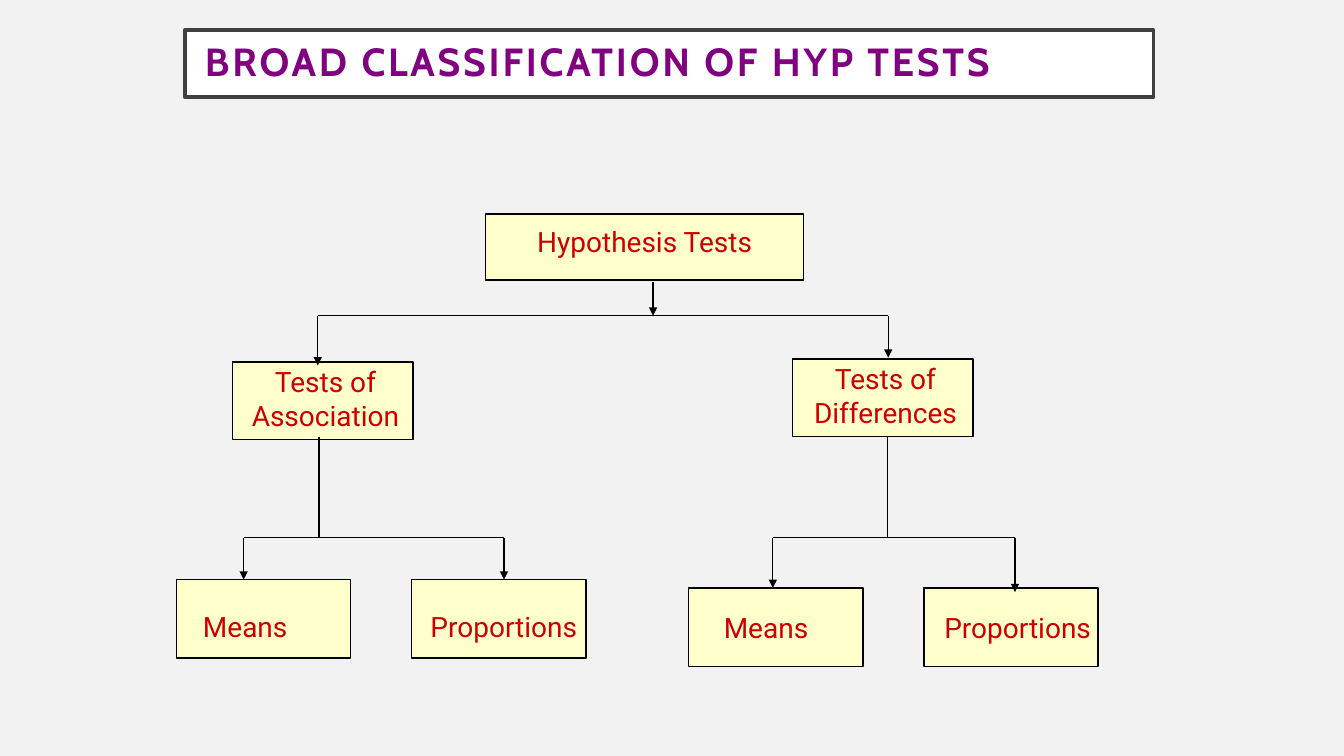
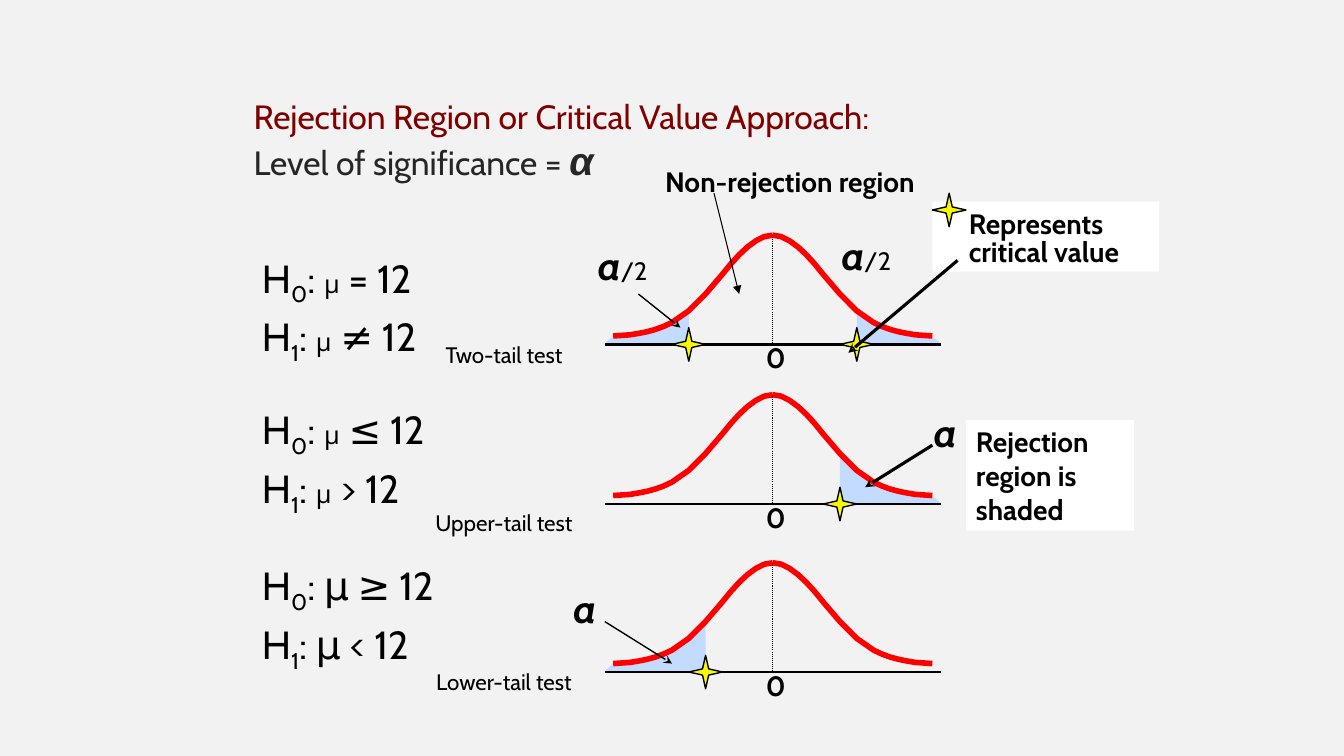
from lxml.etree import SubElement
from pptx import Presentation
from pptx.dml.color import RGBColor
from pptx.enum.dml import MSO_LINE
from pptx.enum.shapes import MSO_CONNECTOR, MSO_SHAPE
from pptx.enum.text import MSO_ANCHOR, MSO_AUTO_SIZE, PP_ALIGN
from pptx.oxml.ns import qn
from pptx.util import Pt

BACKDROP = RGBColor(0xF2, 0xF2, 0xF2)
WHITE = RGBColor(0xFF, 0xFF, 0xFF)
BLACK = RGBColor(0, 0, 0)
FRAME = RGBColor(0x40, 0x40, 0x40)
PURPLE = RGBColor(0x80, 0, 0x80)
MAROON = RGBColor(0x80, 0, 0)
CHARCOAL = RGBColor(0x26, 0x26, 0x26)
CREAM = RGBColor(0xFF, 0xFF, 0xCC)
CRIMSON = RGBColor(0xCC, 0, 0)
RED = RGBColor(0xFF, 0, 0)
SHADE = RGBColor(0xC3, 0xDB, 0xFF)
YELLOW = RGBColor(0xF8, 0xF8, 0)
MAIN_FONT = "Cabin"
TREE_FONT = "Roboto"

HALF_CURVE = [
    (114, 6), (102, 6.8), (96, 7.8), (90, 9), (84, 10.6), (78, 12.8),
    (72, 15.6), (60, 24), (48, 36), (36, 50), (30, 57.4), (24, 64),
    (18, 69.6), (12, 74), (6, 77), (0, 78),
]
TAIL_EDGE = [(120, 0.6), (114, 6), (89, 10), (77, 14.4), (63, 23)]


def add_span(para, text, size, color=BLACK, font=MAIN_FONT, bold=False, italic=False, baseline=0):
    span = para.add_run()
    span.text = text
    span.font.size = Pt(size)
    span.font.name = font
    span.font.bold = bold
    span.font.italic = italic
    span.font.color.rgb = color
    if baseline:
        span._r.get_or_add_rPr().set("baseline", str(baseline * 1000))
    return span


def set_frame(shape, left=7.2, top=3.6, right=7.2, bottom=3.6, anchor=MSO_ANCHOR.TOP):
    frame = shape.text_frame
    frame.word_wrap = True
    frame.auto_size = MSO_AUTO_SIZE.NONE
    frame.vertical_anchor = anchor
    frame.margin_left, frame.margin_top = Pt(left), Pt(top)
    frame.margin_right, frame.margin_bottom = Pt(right), Pt(bottom)
    return frame


def place(shape, left, top, width, height):
    shape.left, shape.top, shape.width, shape.height = map(Pt, (left, top, width, height))


def paint(shape, fill=None, line=None, weight=1):
    shape.shadow.inherit = False
    if fill is None:
        shape.fill.background()
    else:
        shape.fill.solid()
        shape.fill.fore_color.rgb = fill
    if line is None:
        shape.line.fill.background()
    else:
        shape.line.color.rgb = line
        shape.line.width = Pt(weight)


def add_preset(slide, kind, box, fill, line=None):
    shape = slide.shapes.add_shape(kind, *map(Pt, box))
    paint(shape, fill, line)
    return shape


def add_text(slide, box, text, size, align=PP_ALIGN.LEFT, **style):
    frame = set_frame(slide.shapes.add_textbox(*map(Pt, box)))
    para = frame.paragraphs[0]
    para.alignment = align
    add_span(para, text, size, **style)
    return para


def add_line(slide, start, end, weight=1, tip=None, dash=None):
    line = slide.shapes.add_connector(MSO_CONNECTOR.STRAIGHT, *map(Pt, (*start, *end)))
    line.line.color.rgb = BLACK
    line.line.width = Pt(weight)
    if dash:
        line.line.dash_style = dash
    properties = line.element.spPr
    if tip:
        SubElement(properties.find(qn("a:ln")), qn("a:tailEnd"), type=tip)
    SubElement(properties, qn("a:effectLst"))


def add_outline(slide, points, close, **look):
    corners = [(Pt(x), Pt(y)) for x, y in points]
    builder = slide.shapes.build_freeform(*corners[0], scale=1.0)
    builder.add_line_segments(corners[1:], close=close)
    paint(builder.convert_to_shape(), **look)


def add_star(slide, x, y):
    star = add_preset(slide, MSO_SHAPE.STAR_4_POINT, (x - 12, y - 12, 24, 24), YELLOW, BLACK)
    star.adjustments[0] = 0.13


def add_title(slide, box, text):
    title = slide.shapes.title
    place(title, *box)
    title.fill.solid()
    title.fill.fore_color.rgb = WHITE
    title.line.color.rgb = FRAME
    title.line.width = Pt(2.5)
    para = set_frame(title, 14.4, 14.4, 14.4, 14.4, MSO_ANCHOR.MIDDLE).paragraphs[0]
    para.alignment = PP_ALIGN.LEFT
    para.line_spacing = 0.9
    span = add_span(para, text, 28, PURPLE, bold=True)
    span._r.get_or_add_rPr().set("spc", "200")


def add_node(slide, box, text, inset, align=PP_ALIGN.CENTER):
    node = add_preset(slide, MSO_SHAPE.RECTANGLE, box, CREAM, BLACK)
    left, top, right = inset
    para = set_frame(node, left, top, right, 0).paragraphs[0]
    para.alignment = align
    add_span(para, text, 20, CRIMSON, TREE_FONT)


def add_fork(slide, stem, top, bar, drops, stem_tip=None):
    add_line(slide, (stem, top), (stem, bar), tip=stem_tip)
    add_line(slide, (drops[0][0], bar), (drops[1][0], bar))
    for x, tip_y in drops:
        add_line(slide, (x, bar), (x, tip_y), tip="triangle")


def add_tree(slide, left, top):
    add_node(slide, (left + 221, top, 227, 47), "Hypothesis Tests", (7.2, 7.2, 7.2))
    for x, y, text in ((40, 105.5, "Tests of Association"), (440, 103.5, "Tests of Differences")):
        add_node(slide, (left + x, top + y, 129, 55.5), text, (9, 2, 5))
    leaves = [
        (0, 261, "Means", 19, 21.6), (168, 261, "Proportions", 13.5, 21.6),
        (366, 267, "Means", 25, 16), (534, 267, "Proportions", 14.5, 16),
    ]
    for x, y, text, indent, drop in leaves:
        add_node(slide, (left + x, top + y, 124.5, 56), text, (indent, drop, 0), PP_ALIGN.LEFT)
    forks = [
        (340.5, 48.5, 72.5, ((101, 108), (508.5, 102.5)), "triangle"),
        (102, 159, 231, ((48, 261), (234, 261)), None),
        (508, 159, 231, ((426, 267), (599, 270)), None),
    ]
    for stem, start, bar, drops, tip in forks:
        ends = [(left + x, top + y) for x, y in drops]
        add_fork(slide, left + stem, top + start, top + bar, ends, tip)


def add_heading(slide, box):
    slide.shapes.title.element.getparent().remove(slide.shapes.title.element)
    body = slide.placeholders[1]
    place(body, *box)
    frame = set_frame(body, top=32.6)
    first, second = frame.paragraphs[0], frame.add_paragraph()
    for para in (first, second):
        para.line_spacing = 1.0
        para.space_before = Pt(0)
        properties = para._p.get_or_add_pPr()
        properties.set("marL", "0")
        properties.set("indent", "0")
        SubElement(properties, qn("a:buNone"))
    add_span(first, "Rejection Region or Critical Value Approach:", 24, MAROON)
    add_span(second, "Level of significance = ", 24, CHARCOAL)
    add_span(second, "α", 28, CHARCOAL, "Arial", bold=True, italic=True)


def add_bell(slide, left, axis, cut, sides):
    center = left + 120

    def locate(points, side):
        return [(center + side * x, axis - y) for x, y in points]

    tail = TAIL_EDGE + [(cut, dict(HALF_CURVE)[cut]), (cut, 0), (120, 0)]
    for side in sides:
        add_outline(slide, locate(tail, side), True, fill=SHADE)
    for side in (-1, 1):
        add_outline(slide, locate(HALF_CURVE, side), False, line=RED, weight=4)
    add_line(slide, (left, axis), (left + 240, axis), 2)
    add_text(slide, (center - 12, axis - 6, 24, 31), "0", 20, bold=True)
    add_line(slide, (center, axis - 78), (center, axis), 0.75, dash=MSO_LINE.ROUND_DOT)
    for side in sides:
        add_star(slide, center + side * cut, axis)


def add_hypotheses(slide, box, relations, mu_size):
    frame = set_frame(slide.shapes.add_textbox(*map(Pt, box)))
    for index, relation in enumerate(relations):
        para = frame.add_paragraph() if index else frame.paragraphs[0]
        para.line_spacing = 1.1
        add_span(para, "H", 28)
        add_span(para, str(index), 28, baseline=-25)
        add_span(para, ": ", 28)
        add_span(para, "μ", mu_size)
        add_span(para, f" {relation} 12", 28)


def add_test(slide, left, axis, name, name_shift, relations, mu_size, rise, cut, sides):
    add_hypotheses(slide, (left, axis - rise, 170, 81), relations, mu_size)
    add_text(slide, (left + 120, axis + name_shift, 120, 26), name, 16, PP_ALIGN.CENTER)
    add_bell(slide, left + 252, axis, cut, sides)


def add_alpha(slide, left, top, halved=False):
    para = add_text(slide, (left, top, 65 if halved else 34, 40), "a", 28, bold=True, italic=True)
    if halved:
        add_span(para, "/2", 18)


def add_note(slide, box, lines, indent=7.2):
    note = add_preset(slide, MSO_SHAPE.RECTANGLE, box, WHITE)
    frame = set_frame(note, left=indent)
    for index, text in enumerate(lines):
        para = frame.add_paragraph() if index else frame.paragraphs[0]
        para.alignment = PP_ALIGN.LEFT
        if index:
            para.line_spacing = Pt(20)
        add_span(para, text, 20, bold=True)


def add_annotations(slide, left, top):
    add_note(slide, (left + 264, top + 30, 162, 50), ["Represents", "critical value"], 26)
    add_star(slide, left + 276, top + 36)
    add_note(slide, (left + 288, top + 186, 120, 79), ["Rejection region is shaded"])
    add_text(slide, (left + 66, top, 200, 31), "Non-rejection region", 20, bold=True)
    alphas = [(18, 54.5, True), (192, 48, True), (258, 174, False), (0.5, 300, False)]
    for x, y, halved in alphas:
        add_alpha(slide, left + x, top + y, halved)
    arrows = [
        ((108, 24), (126, 96), 0.75, "triangle"),
        ((54, 96), (84, 120), 1, "stealth"),
        ((282, 72), (204, 138), 2.25, "stealth"),
        ((264, 204), (216, 234), 2.25, "stealth"),
        ((30, 330), (78, 360), 1, "stealth"),
    ]
    for start, end, weight, tip in arrows:
        ends = [(left + x, top + y) for x, y in (start, end)]
        add_line(slide, *ends, weight, tip)


def build_classification(deck):
    slide = deck.slides.add_slide(deck.slide_layouts[5])
    add_title(slide, (132, 21.5, 692, 48), "BROAD CLASSIFICATION OF HYP TESTS")
    add_tree(slide, 126, 153)


def build_rejection(deck):
    slide = deck.slides.add_slide(deck.slide_layouts[1])
    add_heading(slide, (174, 36, 666, 468))
    tests = [
        (246, "Two-tail test", -6, "=≠", 18, 72, 60, (-1, 1)),
        (360, "Upper-tail test", 0, "≤>", 18, 77.5, 48, (1,)),
        (480, "Lower-tail test", -6, "≥<", 28, 86.5, 48, (-1,)),
    ]
    for test in tests:
        add_test(slide, 180, *test)
    add_annotations(slide, 402, 114)


deck = Presentation()
deck.slide_width, deck.slide_height = Pt(960), Pt(540)
backdrop = deck.slide_master.background.fill
backdrop.solid()
backdrop.fore_color.rgb = BACKDROP
build_classification(deck)
build_rejection(deck)
deck.save("out.pptx")
